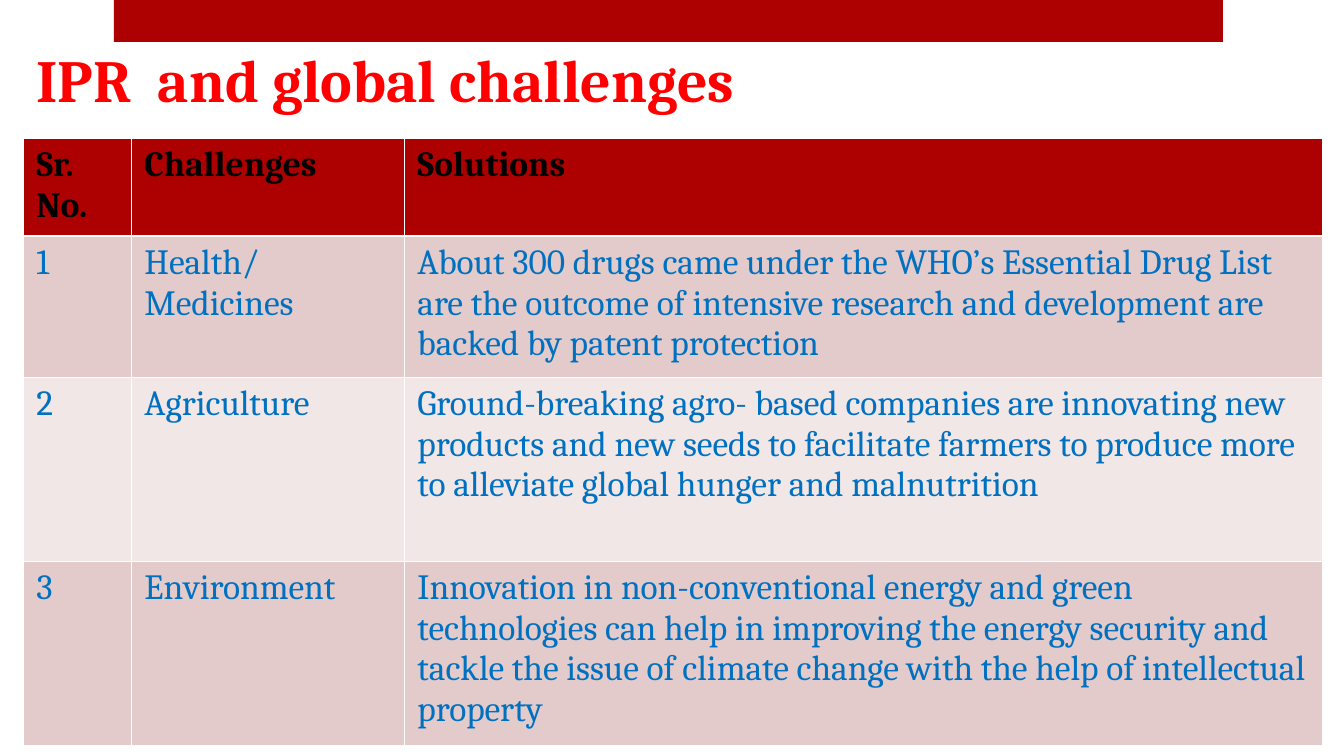
from dataclasses import dataclass

from lxml import etree
from pptx import Presentation
from pptx import util as u
from pptx.dml.color import RGBColor
from pptx.enum import shapes, text
from pptx.oxml.ns import qn

EMU_PER_PX = 914400 / 134.4


@dataclass(frozen=True)
class Theme:
    font: str = "Cambria"
    title_size: int = 32
    table_size: int = 19
    accent: str = "AD0101"
    title: str = "FF0000"
    header_text: str = "000000"
    body_text: str = "0070C0"
    bands: tuple = ("E3CBCB", "F1E7E7")
    border: str = "FFFFFF"
    thin: float = 0.45
    thick: float = 1.47


THEME = Theme()

COLUMN_WIDTHS = (108, 273, 918)
ROW_HEIGHTS = (98, 141, 184, 184)
ROWS = (
    ("Sr. No.", "Challenges", "Solutions"),
    ("1", "Health/Medicines",
     "About 300 drugs came under the WHO’s Essential Drug List are the outcome of "
     "intensive research and development are backed by patent protection"),
    ("2", "Agriculture",
     "Ground-breaking agro- based companies are innovating new products and new seeds "
     "to facilitate farmers to produce more to alleviate global hunger and malnutrition"),
    ("3", "Environment",
     "Innovation in non-conventional energy and green technologies can help in improving "
     "the energy security and tackle the issue of climate change with the help of "
     "intellectual property"),
)


def px(length):
    return u.Emu(round(length * EMU_PER_PX))


def style_paragraph(para, size, color, bold):
    para.alignment = text.PP_ALIGN.LEFT
    para.font.name = THEME.font
    para.font.size = u.Pt(size)
    para.font.bold = bold
    para.font.color.rgb = RGBColor.from_string(color)


def add_bar(page, left, top, width, height):
    bar = page.shapes.add_shape(
        shapes.MSO_SHAPE.RECTANGLE, px(left), px(top), px(width), px(height))
    bar.shadow.inherit = False
    bar.fill.solid()
    bar.fill.fore_color.rgb = RGBColor.from_string(THEME.accent)
    bar.line.fill.background()


def set_title(page, words, left, top, width, height):
    title = page.shapes.title
    title.left, title.top = px(left), px(top)
    title.width, title.height = px(width), px(height)
    frame = title.text_frame
    frame.text = words
    frame.word_wrap = True
    frame.auto_size = text.MSO_AUTO_SIZE.NONE
    frame.vertical_anchor = text.MSO_ANCHOR.BOTTOM
    style_paragraph(frame.paragraphs[0], THEME.title_size, THEME.title, True)


def set_borders(cell, top, bottom):
    """Draw all four cell borders; top and bottom are widths in points."""
    properties = cell._tc.get_or_add_tcPr()
    widths = {"lnL": THEME.thin, "lnR": THEME.thin, "lnT": top, "lnB": bottom}
    for side, width in widths.items():
        line = etree.SubElement(properties, qn(f"a:{side}"), w=str(u.Pt(width)))
        fill = etree.SubElement(line, qn("a:solidFill"))
        etree.SubElement(fill, qn("a:srgbClr"), val=THEME.border)


def fill_cell(cell, words, row):
    header = row == 0
    set_borders(cell,
                top=THEME.thick if row == 1 else THEME.thin,
                bottom=THEME.thick if header else THEME.thin)
    color = THEME.accent if header else THEME.bands[(row - 1) % 2]
    cell.fill.solid()
    cell.fill.fore_color.rgb = RGBColor.from_string(color)
    cell.text = words
    style_paragraph(cell.text_frame.paragraphs[0], THEME.table_size,
                    THEME.header_text if header else THEME.body_text, header)


def add_challenge_table(page, left, top):
    table = page.shapes.add_table(
        len(ROWS), len(COLUMN_WIDTHS), px(left), px(top),
        px(sum(COLUMN_WIDTHS)), px(sum(ROW_HEIGHTS))).table
    for column, width in zip(table.columns, COLUMN_WIDTHS):
        column.width = px(width)
    for row, height in zip(table.rows, ROW_HEIGHTS):
        row.height = px(height)
    for row, entries in enumerate(ROWS):
        for column, words in enumerate(entries):
            fill_cell(table.cell(row, column), words, row)


def main():
    deck = Presentation()
    deck.slide_width, deck.slide_height = px(1344), px(756)
    page = deck.slides.add_slide(deck.slide_layouts.get_by_name("Title Only"))
    add_bar(page, 114, 0, 1109, 42)
    set_title(page, "IPR  and global challenges", 23, 31, 1142, 90)
    add_challenge_table(page, 23, 138)
    deck.save("out.pptx")


if __name__ == "__main__":
    main()
